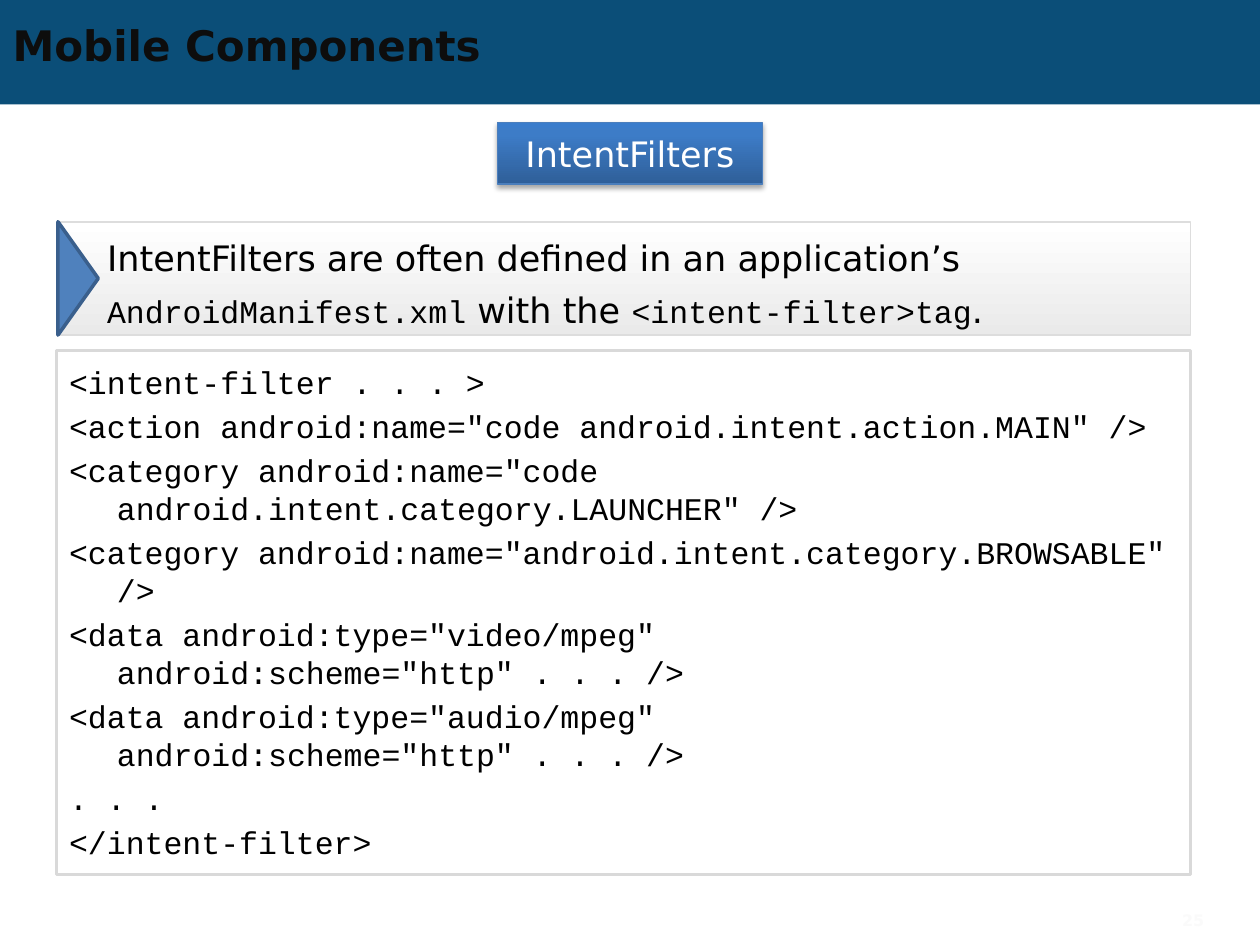
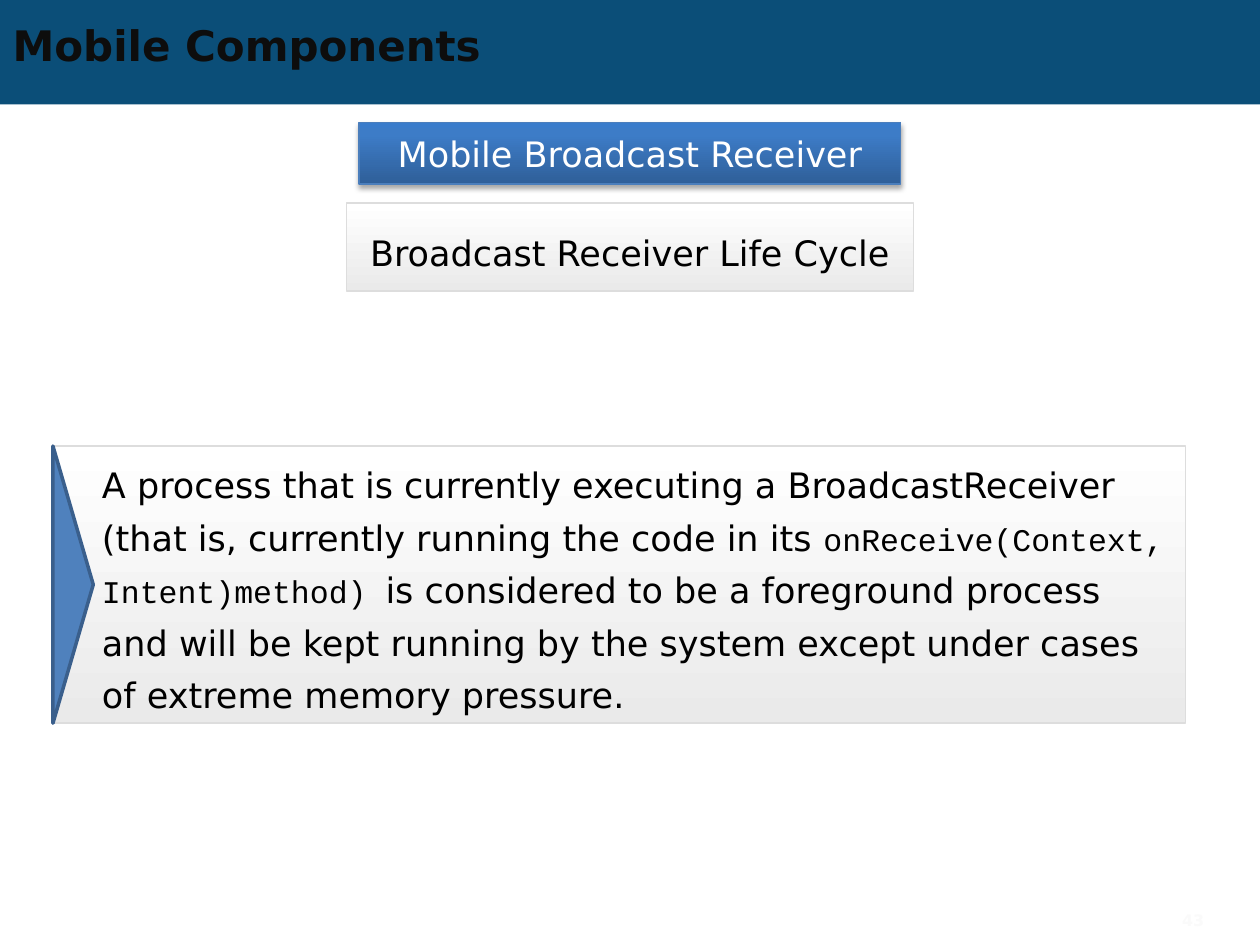
from dataclasses import dataclass

from lxml.etree import SubElement
from pptx import Presentation
from pptx.dml.color import RGBColor
from pptx.enum.shapes import MSO_SHAPE as Shape
from pptx.enum.text import MSO_ANCHOR as Anchor, MSO_AUTO_SIZE as AutoSize, PP_ALIGN as Align
from pptx.oxml.ns import qn
from pptx.util import Inches, Pt


@dataclass(frozen=True)
class Theme:
    """Colours, fonts and type sizes shared by the slides."""
    band: str = "0B4E78"
    title: str = "0D0D0D"
    ink: str = "000000"
    white: str = "FFFFFF"
    number: str = "FAFAFA"
    panel_line: str = "DDDDDD"
    code_line: str = "D9D9D9"
    badge_line: str = "4B7EBC"
    marker: str = "4F81BD"
    marker_line: str = "3A5F8C"
    panel_stops: tuple = ((0, "FFFFFF"), (100, "EAEAEA"))
    badge_stops: tuple = ((0, "2F5F99"), (80, "3D7CC7"), (100, "3A7CCB"))
    sans: str = "DejaVu Sans"
    mono: str = "Courier New"
    title_size: int = 24
    body_size: int = 20
    code_size: int = 18
    number_size: int = 9
    body_leading: int = 30
    code_leading: float = 21.6
    code_gap: float = 3.6


THEME = Theme()
SLIDE_WIDTH, SLIDE_HEIGHT = 10, 7.5
BODY = {"name": THEME.sans, "size": Pt(THEME.body_size)}
CODE = {"name": THEME.mono, "size": Pt(THEME.code_size)}


def set_values(target, **values):
    """Set each named attribute of the target."""
    for name, value in values.items():
        setattr(target, name, value)


def add_run(paragraph, text, color=THEME.ink, **font_values):
    """Append a formatted run to a paragraph."""
    run = paragraph.add_run()
    run.text = text
    set_values(run.font, **font_values)
    run.font.color.rgb = RGBColor.from_string(color)


def add_box(shapes, kind, box, fill=None, line=None, line_width=1):
    """Add a preset shape with an optional solid fill and outline."""
    shape = shapes.add_shape(kind, *map(Inches, box))
    shape.shadow.inherit = False
    if fill:
        shape.fill.solid()
        shape.fill.fore_color.rgb = RGBColor.from_string(fill)
    else:
        shape.fill.background()
    if line:
        shape.line.color.rgb = RGBColor.from_string(line)
        shape.line.width = Pt(line_width)
    else:
        shape.line.fill.background()
    return shape


def fill_gradient(shape, stops, angle):
    """Fill a shape with a linear gradient through the given stops."""
    shape.fill.gradient()
    shape.fill.gradient_angle = angle
    stop_list = shape.element.spPr.find(".//" + qn("a:gsLst"))
    for stop in list(stop_list):
        stop_list.remove(stop)
    for position, color in stops:
        stop = SubElement(stop_list, qn("a:gs"), pos=str(position * 1000))
        SubElement(stop, qn("a:srgbClr"), val=color)


def add_drop_shadow(shape):
    """Give a shape a soft shadow below it."""
    effects = shape.element.spPr.find(qn("a:effectLst"))
    shadow = SubElement(effects, qn("a:outerShdw"), blurRad=str(Pt(3.1)),
                        dist=str(Pt(1.8)), dir="5400000", rotWithShape="0")
    color = SubElement(shadow, qn("a:srgbClr"), val=THEME.ink)
    SubElement(color, qn("a:alpha"), val="35000")


def add_panel(shapes, box, runs, align=Align.LEFT):
    """Add a pale gradient panel holding one paragraph of runs."""
    panel = add_box(shapes, Shape.RECTANGLE, box, THEME.white, THEME.panel_line)
    fill_gradient(panel, THEME.panel_stops, 270)
    paragraph = panel.text_frame.paragraphs[0]
    set_values(paragraph, alignment=align, line_spacing=Pt(THEME.body_leading))
    for text, font_values in runs:
        add_run(paragraph, text, **font_values)
    return panel


def add_callout(slide, box, runs):
    """Add a panel with a pointer along its left edge."""
    left, top, _, height = box
    depth = 0.32
    group = slide.shapes.add_group_shape()
    panel = add_panel(group.shapes, box, runs)
    set_values(panel.text_frame, margin_left=Inches(0.4), margin_right=Inches(0.1),
               margin_top=0, margin_bottom=0)
    pointer_box = (left + 0.01 + (depth - height) / 2, top + (height - depth) / 2, height, depth)
    pointer = add_box(group.shapes, Shape.ISOSCELES_TRIANGLE, pointer_box,
                      THEME.marker, THEME.marker_line, 2)
    pointer.rotation = 90


def add_code(slide, box, lines):
    """Add an outlined listing with hanging indents."""
    listing = add_box(slide.shapes, Shape.RECTANGLE, box, line=THEME.code_line, line_width=1.5)
    frame = listing.text_frame
    set_values(frame, vertical_anchor=Anchor.TOP, margin_top=Inches(0.1))
    for index, line in enumerate(lines):
        paragraph = frame.add_paragraph() if index else frame.paragraphs[0]
        set_values(paragraph, alignment=Align.LEFT, line_spacing=Pt(THEME.code_leading),
                   space_before=Pt(THEME.code_gap if index else 0))
        properties = paragraph._p.get_or_add_pPr()
        properties.set("marL", str(Inches(0.38)))
        properties.set("indent", str(Inches(-0.38)))
        add_run(paragraph, line, **CODE)


def add_badge(slide, width, text):
    """Add the centred topic badge under the title band."""
    box = ((SLIDE_WIDTH - width) / 2, 0.97, width, 0.49)
    badge = add_box(slide.shapes, Shape.RECTANGLE, box, THEME.marker, THEME.badge_line, 0.75)
    fill_gradient(badge, THEME.badge_stops, 90)
    add_drop_shadow(badge)
    paragraph = badge.text_frame.paragraphs[0]
    paragraph.alignment = Align.CENTER
    add_run(paragraph, text, THEME.white, **BODY)


def add_band(slide):
    """Put the title band on the layout that the slide uses."""
    band = add_box(slide.shapes, Shape.RECTANGLE, (0, 0, SLIDE_WIDTH, 0.83), THEME.band)
    slide.slide_layout.shapes.element.insert(2, band.element)


def add_page_number(slide, number):
    """Add the faint page number at the lower right."""
    text_box = slide.shapes.add_textbox(*map(Inches, (9.17, 7.15, 0.6, 0.3)))
    set_values(text_box.text_frame, word_wrap=True, vertical_anchor=Anchor.MIDDLE)
    paragraph = text_box.text_frame.paragraphs[0]
    paragraph.alignment = Align.CENTER
    add_run(paragraph, str(number), THEME.number, name=THEME.sans,
            size=Pt(THEME.number_size), bold=True)


def add_titled_slide(presentation, number):
    """Add a slide with its title and page number."""
    slide = presentation.slides.add_slide(presentation.slide_layouts[5])
    title = slide.shapes.title
    set_values(title, left=0, top=Inches(0.14), width=Inches(9), height=Inches(0.43))
    set_values(title.text_frame, vertical_anchor=Anchor.MIDDLE, auto_size=AutoSize.NONE,
               word_wrap=True)
    paragraph = title.text_frame.paragraphs[0]
    paragraph.alignment = Align.LEFT
    add_run(paragraph, "Mobile Components", THEME.title, name=THEME.sans,
            size=Pt(THEME.title_size), bold=True)
    add_page_number(slide, number)
    return slide


def build_intent_filters(presentation):
    """Build the slide that shows an intent filter declaration."""
    slide = add_titled_slide(presentation, 25)
    add_band(slide)
    add_callout(slide, (0.45, 1.76, 9, 0.9), [
        ("IntentFilters are often defined in an application’s ", BODY),
        ("AndroidManifest.xml", CODE),
        (" with the ", BODY),
        ("<intent-filter>tag", CODE),
        (".", BODY),
    ])
    add_code(slide, (0.45, 2.78, 9, 4.16), [
        "<intent-filter . . . >",
        '<action android:name="code android.intent.action.MAIN" />',
        '<category android:name="code android.intent.category.LAUNCHER" />',
        '<category android:name="android.intent.category.BROWSABLE" />',
        '<data android:type="video/mpeg" android:scheme="http" . . . />',
        '<data android:type="audio/mpeg" android:scheme="http" . . . />',
        ". . .",
        "</intent-filter>",
    ])
    add_badge(slide, 2.1, "IntentFilters")


def build_broadcast_receiver(presentation):
    """Build the slide on the broadcast receiver life cycle."""
    slide = add_titled_slide(presentation, 43)
    add_callout(slide, (0.41, 3.54, 9, 2.2), [
        ("A process that is currently executing a BroadcastReceiver "
         "(that is, currently running the code in its ", BODY),
        ("onReceive(Context, Intent)method) ", CODE),
        ("is considered to be a foreground process and will be kept running "
         "by the system except under cases of extreme memory pressure.", BODY),
    ])
    add_panel(slide.shapes, (2.75, 1.61, 4.5, 0.7),
              [("Broadcast Receiver Life Cycle", BODY)], Align.CENTER)
    add_badge(slide, 4.3, "Mobile Broadcast Receiver")


def main():
    """Build and save the presentation."""
    presentation = Presentation()
    set_values(presentation, slide_width=Inches(SLIDE_WIDTH), slide_height=Inches(SLIDE_HEIGHT))
    build_intent_filters(presentation)
    build_broadcast_receiver(presentation)
    presentation.save("out.pptx")


if __name__ == "__main__":
    main()
